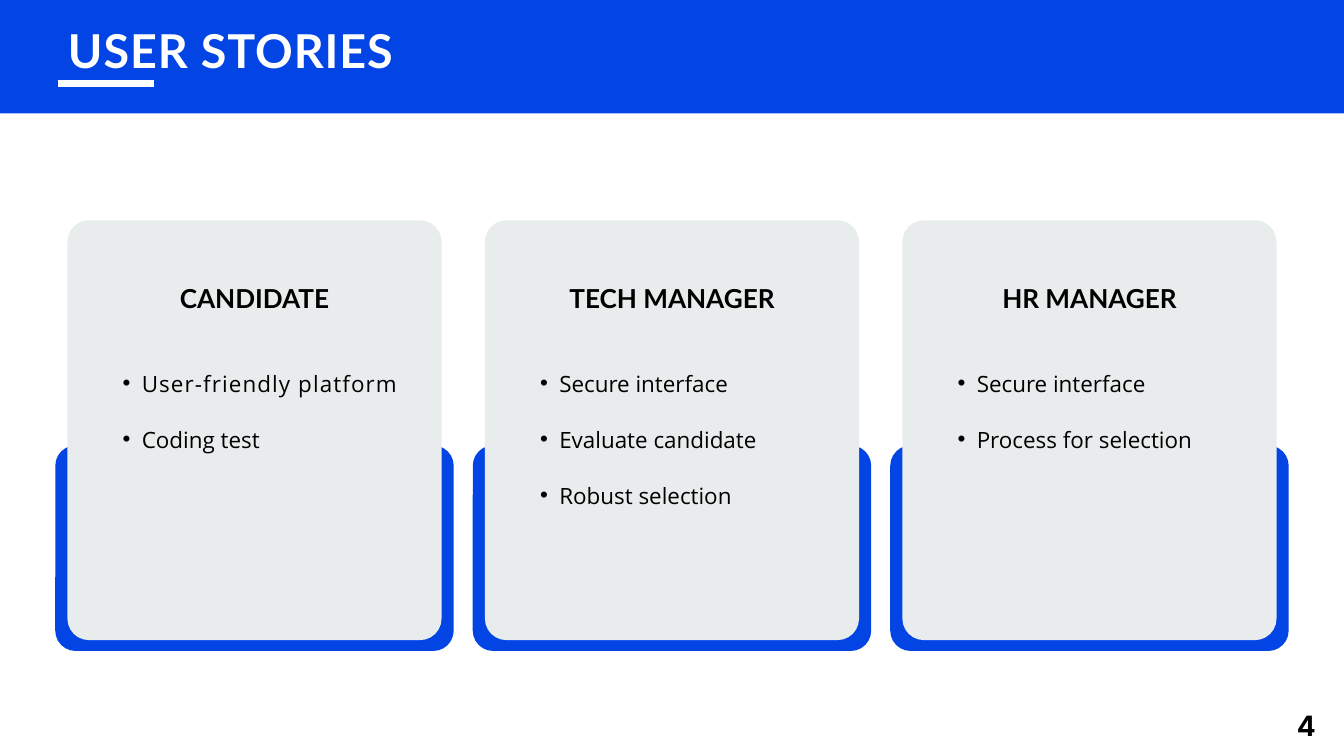
from dataclasses import dataclass

from lxml import etree
from pptx import Presentation
from pptx.dml.color import RGBColor
from pptx.enum.shapes import MSO_CONNECTOR, MSO_SHAPE
from pptx.enum.text import MSO_AUTO_SIZE, PP_ALIGN
from pptx.oxml.ns import qn
from pptx.util import Cm, Pt

RECT, ROUND = MSO_SHAPE.RECTANGLE, MSO_SHAPE.ROUNDED_RECTANGLE
LINE = MSO_CONNECTOR.STRAIGHT
LEFT, MID, FULL = PP_ALIGN.LEFT, PP_ALIGN.CENTER, PP_ALIGN.JUSTIFY
GROW = MSO_AUTO_SIZE.SHAPE_TO_FIT_TEXT


@dataclass(frozen=True)
class Font:
    name: str
    size: float
    lead: float
    color: RGBColor
    bold: bool = False


class Theme:
    blue = RGBColor(0x03, 0x45, 0xE4)
    gray = RGBColor(0xE8, 0xEC, 0xEC)
    white = RGBColor(0xFF, 0xFF, 0xFF)
    black = RGBColor(0, 0, 0)
    title = Font("Lato", 50, 70, white, True)
    head = Font("Lato", 28, 39.2, black, True)
    body = Font("Open Sans", 24, 60, black)
    page = Font("Inter", 30, 42, black, True)


# Column heading, then each item with its letter spacing in points
STORIES = [
    ("CANDIDATE", [("User-friendly platform", 1.2), ("Coding test", 0)]),
    ("TECH MANAGER", [("Secure interface", 0), ("Evaluate candidate", 0),
                      ("Robust selection", 0)]),
    ("HR MANAGER", [("Secure interface", 0), ("Process for selection", 0)]),
]


def add_panel(slide, kind, x, y, w, h, fill, radius=0):
    panel = slide.shapes.add_shape(kind, Cm(x), Cm(y), Cm(w), Cm(h))
    panel.shadow.inherit = False
    panel.fill.solid()
    panel.fill.fore_color.rgb = fill
    panel.line.fill.background()
    if radius:
        panel.adjustments[0] = radius / min(w, h)


def add_bullet(para):
    para.level = 1
    props = para._p.get_or_add_pPr()
    props.set("marL", str(Cm(1.45)))
    props.set("indent", str(Cm(-0.72)))
    etree.SubElement(props, qn("a:buFont")).set("typeface", "Arial")
    etree.SubElement(props, qn("a:buChar")).set("char", "•")


def add_text(slide, x, y, w, h, lines, font, align, bullet=False):
    box = slide.shapes.add_textbox(Cm(x), Cm(y), Cm(w), Cm(h))
    frame = box.text_frame
    frame.word_wrap = True
    frame.auto_size = GROW
    frame.margin_left = frame.margin_right = 0
    frame.margin_top = frame.margin_bottom = 0
    for i, (text, gap) in enumerate(lines):
        para = frame.add_paragraph() if i else frame.paragraphs[0]
        para.alignment = align
        para.line_spacing = Pt(font.lead)
        if bullet:
            add_bullet(para)
        run = para.add_run()
        run.text = text
        run.font.name = font.name
        run.font.size = Pt(font.size)
        run.font.bold = font.bold
        run.font.color.rgb = font.color
        if gap:
            run.font._element.set("spc", str(round(gap * 100)))


def add_banner(slide, x, y, w, h):
    add_panel(slide, RECT, x, y, w, h, Theme.blue)
    # Short rule under the title
    rule = slide.shapes.add_connector(
        LINE, Cm(x + 2.18), Cm(y + 3.15), Cm(x + 5.82), Cm(y + 3.15))
    rule.line.color.rgb = Theme.white
    rule.line.width = Pt(7.5)
    etree.SubElement(rule._element.spPr, qn("a:effectLst"))
    add_text(slide, x + 2.57, y + 0.48, 29.92, 2.36,
             [("USER STORIES", 1)], Theme.title, LEFT)


def add_story(slide, x, y, w, h, head, items):
    # Blue base behind the lower half, gray card in front
    base, edge, foot = 7.77, 0.46, 0.41
    add_panel(slide, ROUND, x, y + h - base, w, base, Theme.blue, 0.77)
    add_panel(slide, ROUND, x + edge, y, w - 2 * edge, h - foot,
              Theme.gray, 0.81)
    inset = 1.82
    add_text(slide, x + inset, y + 2.13, w - 2 * inset, 1.35,
             [(head, 0)], Theme.head, MID)
    add_text(slide, x + inset, y + 4.55, 11.86, 2.12 * len(items),
             items, Theme.body, FULL, bullet=True)


def main():
    deck = Presentation()
    deck.slide_width, deck.slide_height = Cm(50.8), Cm(28.58)
    slide = deck.slides.add_slide(deck.slide_layouts[6])

    # Three equal columns
    left, width, step = 2.09, 15.06, 15.78
    for i, (head, items) in enumerate(STORIES):
        add_story(slide, left + i * step, 8.33, width, 16.28, head, items)

    add_banner(slide, 0, 0, 50.8, 4.29)

    # Page number
    add_text(slide, 48.72, 26.57, 1.32, 1.4, [("4", 0)], Theme.page, MID)
    deck.save("out.pptx")


if __name__ == "__main__":
    main()
